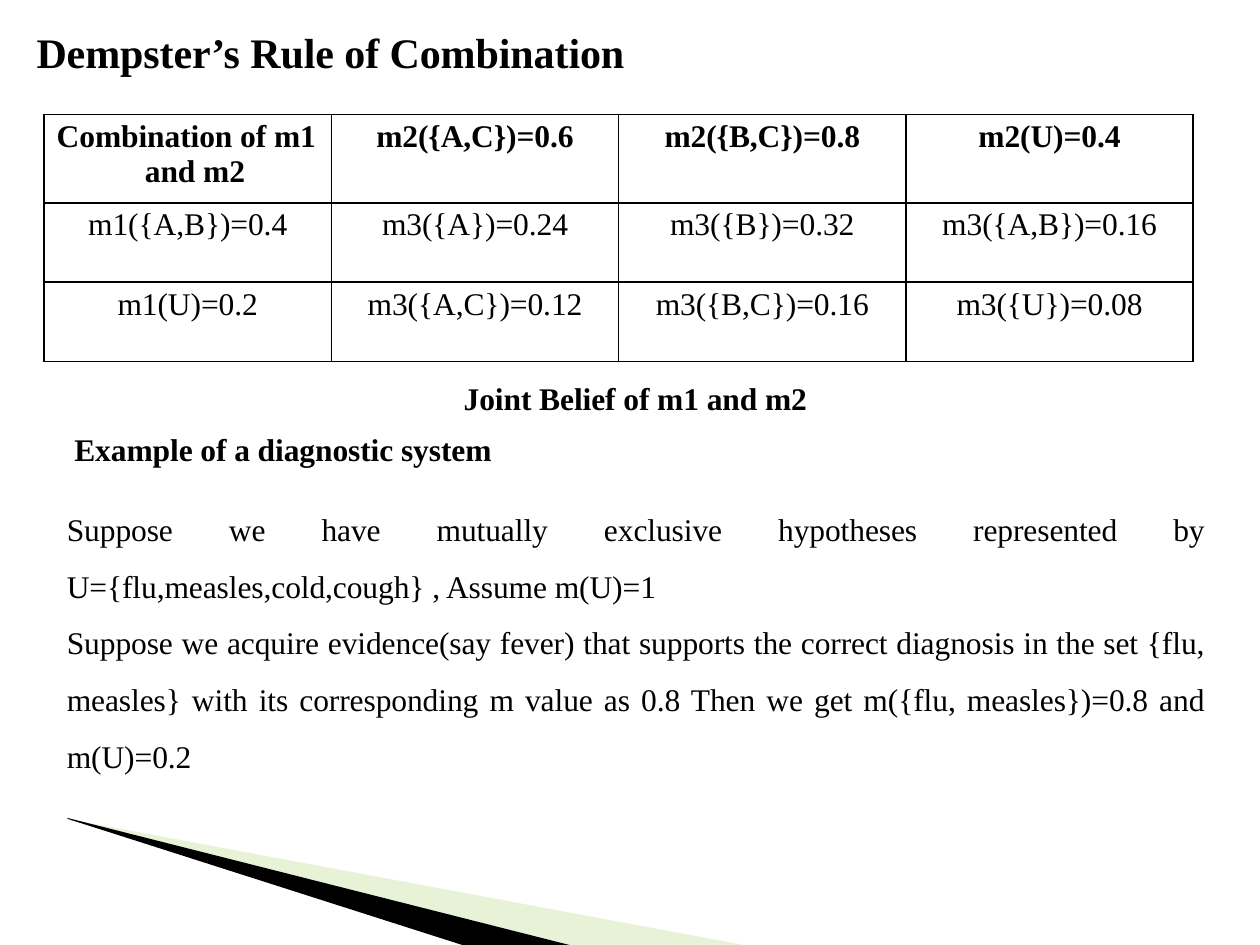
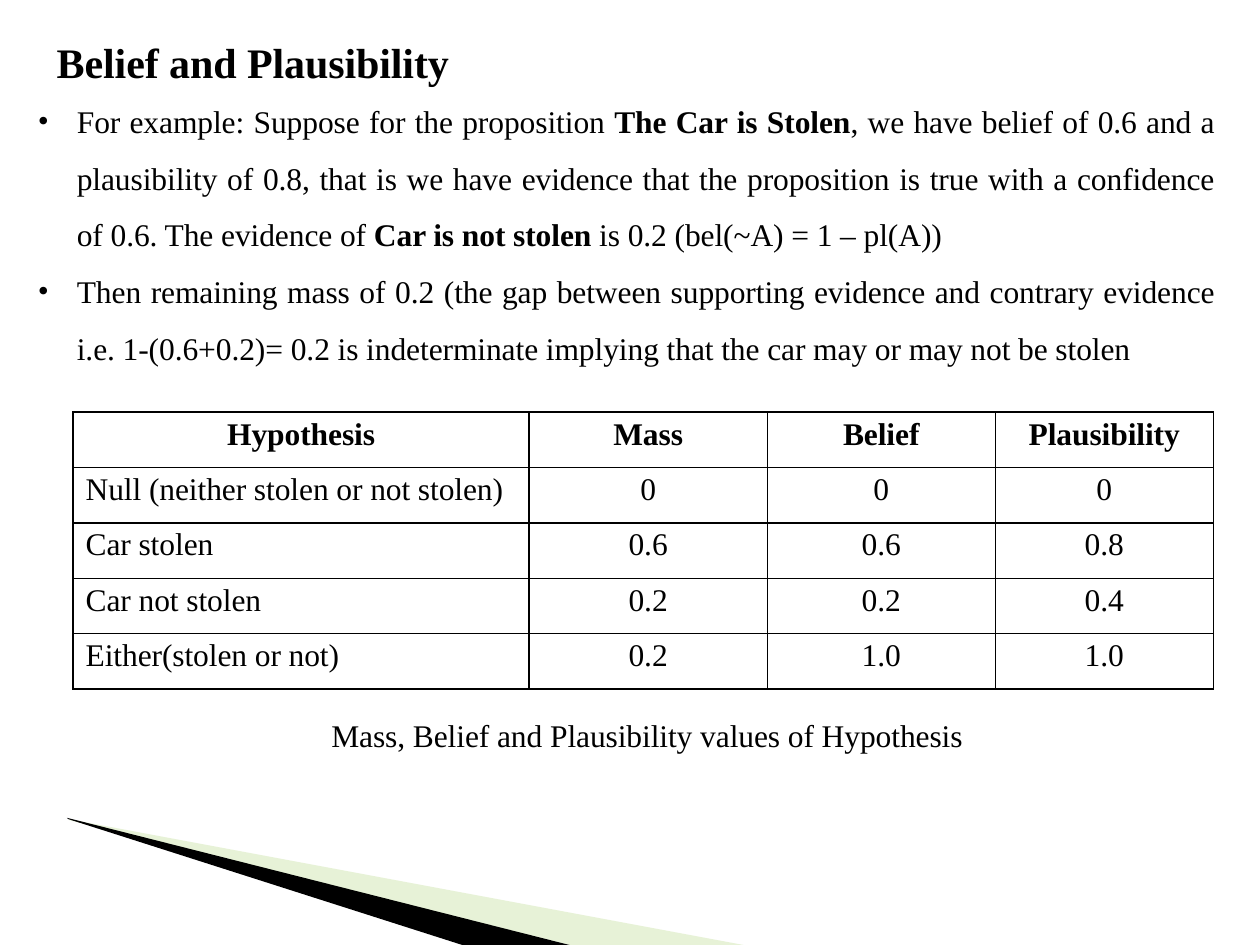
from lxml import etree
from pptx import Presentation
from pptx.dml.color import RGBColor
from pptx.enum.text import MSO_ANCHOR, MSO_AUTO_SIZE, PP_ALIGN as AL
from pptx.oxml.ns import qn
from pptx.util import Inches, Pt

FONT, BLACK, GREEN = "Times New Roman", "000000", "C3E09B"
WEDGES = [
    (GREEN, 40, [(0.55, 6.5), (0.64, 6.52), (5.9, 7.5), (4.52, 7.5), (0.55, 6.51)]),
    (BLACK, 100, [(0.53, 6.49), (0.54, 6.5), (3.67, 7.5), (4.52, 7.5)]),
]
BULLET = dict(left=0.33, indent=-0.31, bullet="•")
BODY = dict(align=AL.JUSTIFY, line=32.4)

# Slide content: body and caption are lists of (text, paragraph format); ** marks bold
SLIDES = [
    dict(
        title="Dempster’s Rule of Combination", title_at=(0.28, 0.2, 4.8, 0.43),
        body_at=(0.52, 2.89, 9.04, 3.27),
        body=[
            ("**Joint Belief of m1 and m2**", dict(left=3.16, line=29.2)),
            ("**Example of a diagnostic system**", dict(left=0.07, line=29.2)),
            ("Suppose we have mutually exclusive hypotheses represented by "
             "U={flu,measles,cold,cough} , Assume m(U)=1", dict(BODY, before=13.4)),
            ("Suppose we acquire evidence(say fever) that supports the correct diagnosis "
             "in the set {flu, measles} with its corresponding m value as 0.8 Then we get "
             "m({flu, measles})=0.8 and m(U)=0.2", BODY),
        ],
        table_at=(0.35, 0.91), cols=[2.28] * 4, rows=[0.7, 0.63, 0.63],
        special={(0, 0): dict(left=0.8, indent=-0.7)},
        cells=[
            ["Combination of m1 and m2", "m2({A,C})=0.6", "m2({B,C})=0.8", "m2(U)=0.4"],
            ["m1({A,B})=0.4", "m3({A})=0.24", "m3({B})=0.32", "m3({A,B})=0.16"],
            ["m1(U)=0.2", "m3({A,C})=0.12", "m3({B,C})=0.16", "m3({U})=0.08"],
        ],
        caption=None,
    ),
    dict(
        title="Belief and Plausibility", title_at=(0.44, 0.28, 3.4, 0.43),
        body_at=(0.28, 0.65, 9.36, 2.28),
        body=[
            ("For example: Suppose for the proposition **The Car is Stolen**, we have belief "
             "of 0.6 and a plausibility of 0.8, that is we have evidence that the proposition "
             "is true with a confidence of 0.6. The evidence of **Car is not stolen** is 0.2 "
             "(bel(~A) = 1 – pl(A))", dict(BODY, **BULLET)),
            ("Then remaining mass of 0.2 (the gap between supporting evidence and contrary "
             "evidence i.e. 1-(0.6+0.2)= 0.2 is indeterminate implying that the car may or "
             "may not be stolen", dict(BODY, **BULLET)),
        ],
        table_at=(0.58, 3.27), cols=[3.62, 1.89, 1.81, 1.73], rows=[0.44] * 5,
        special={(i, 0): dict(left=0.1) for i in range(1, 5)},
        cells=[
            ["Hypothesis", "Mass", "Belief", "Plausibility"],
            ["Null (neither stolen or not stolen)", "0", "0", "0"],
            ["Car stolen", "0.6", "0.6", "0.8"],
            ["Car not stolen", "0.2", "0.2", "0.4"],
            ["Either(stolen or not)", "0.2", "1.0", "1.0"],
        ],
        caption="Mass, Belief and Plausibility values of Hypothesis",
    ),
]


def rgb(color):
    return RGBColor.from_string(color)


def write(p, text, size=18, align=AL.LEFT, left=0.01, indent=0, line=None, before=0, bullet=None):
    """Format one paragraph and fill it with plain and bold runs."""
    layout = dict(alignment=align, line_spacing=Pt(line) if line else 1.0,
                  space_before=Pt(before), space_after=Pt(0))
    for name, value in layout.items():
        setattr(p, name, value)
    pPr = p._p.get_or_add_pPr()
    pPr.set("marL", str(Inches(left)))
    pPr.set("indent", str(Inches(indent)))
    if bullet:
        etree.SubElement(pPr, qn("a:buFont"), typeface=FONT)
        etree.SubElement(pPr, qn("a:buChar"), char=bullet)
    else:
        etree.SubElement(pPr, qn("a:buNone"))
    for i, part in enumerate(text.split("**")):
        if part:
            r = p.add_run()
            r.text = part
            for name, value in dict(name=FONT, size=Pt(size), bold=i % 2 == 1).items():
                setattr(r.font, name, value)
            r.font.color.rgb = rgb(BLACK)
            r._r.get_or_add_rPr().set("spc", "-5")


prs = Presentation()
prs.slide_width, prs.slide_height = Inches(10), Inches(7.5)

for data in SLIDES:
    s = prs.slides.add_slide(prs.slide_layouts[1])

    # Corner wedges
    for color, alpha, points in WEDGES:
        (x, y), *rest = [(Inches(a), Inches(b)) for a, b in points]
        fb = s.shapes.build_freeform(x, y)
        fb.add_line_segments(rest, close=True)
        sp = fb.convert_to_shape()
        sp.shadow.inherit = False
        sp.fill.solid()
        sp.fill.fore_color.rgb = rgb(color)
        sp.line.fill.background()
        if alpha < 100:
            clr = sp._element.spPr.find(".//" + qn("a:srgbClr"))
            etree.SubElement(clr, qn("a:alpha"), val=str(alpha * 1000))

    # Title, body and caption
    texts = [
        (s.shapes.title, data["title_at"],
         [(f"**{data['title']}**", dict(size=24, line=28.8, before=1))]),
        (s.placeholders[1], data["body_at"], data["body"]),
    ]
    if data["caption"]:
        box = s.shapes.add_textbox(0, 0, 0, 0)
        texts.append((box, (2.62, 5.67, 5.2, 0.33),
                      [(data["caption"], dict(line=21.6, before=1))]))
    for sp, place, paragraphs in texts:
        for name, value in zip(("left", "top", "width", "height"), place):
            setattr(sp, name, Inches(value))
        tf = sp.text_frame
        frame = dict(margin_left=0, margin_right=0, margin_bottom=0, margin_top=Inches(0.01),
                     word_wrap=True, auto_size=MSO_AUTO_SIZE.NONE,
                     vertical_anchor=MSO_ANCHOR.TOP)
        for name, value in frame.items():
            setattr(tf, name, value)
        for i, (text, fmt) in enumerate(paragraphs):
            write(tf.add_paragraph() if i else tf.paragraphs[0], text, **fmt)

    # Table with thin black borders
    rows, cols = data["rows"], data["cols"]
    x, y = data["table_at"]
    table = s.shapes.add_table(len(rows), len(cols), Inches(x), Inches(y),
                               Inches(sum(cols)), Inches(sum(rows))).table
    table.first_row = table.horz_banding = False
    for col, width in zip(table.columns, cols):
        col.width = Inches(width)
    for i, height in enumerate(rows):
        table.rows[i].height = Inches(height)
        for j, text in enumerate(data["cells"][i]):
            cell = table.cell(i, j)
            cell.margin_left = cell.margin_right = cell.margin_bottom = 0
            cell.margin_top = Inches(0.04)
            fmt = data["special"].get((i, j), dict(align=AL.CENTER, left=0))
            write(cell.text_frame.paragraphs[0], text if i else f"**{text}**", before=3, **fmt)
            tcPr = cell._tc.get_or_add_tcPr()
            for side in ("L", "R", "T", "B"):
                ln = etree.SubElement(tcPr, qn(f"a:ln{side}"), w=str(Pt(1)))
                fill = etree.SubElement(ln, qn("a:solidFill"))
                etree.SubElement(fill, qn("a:srgbClr"), val=BLACK)
            cell.fill.background()

prs.save("out.pptx")
